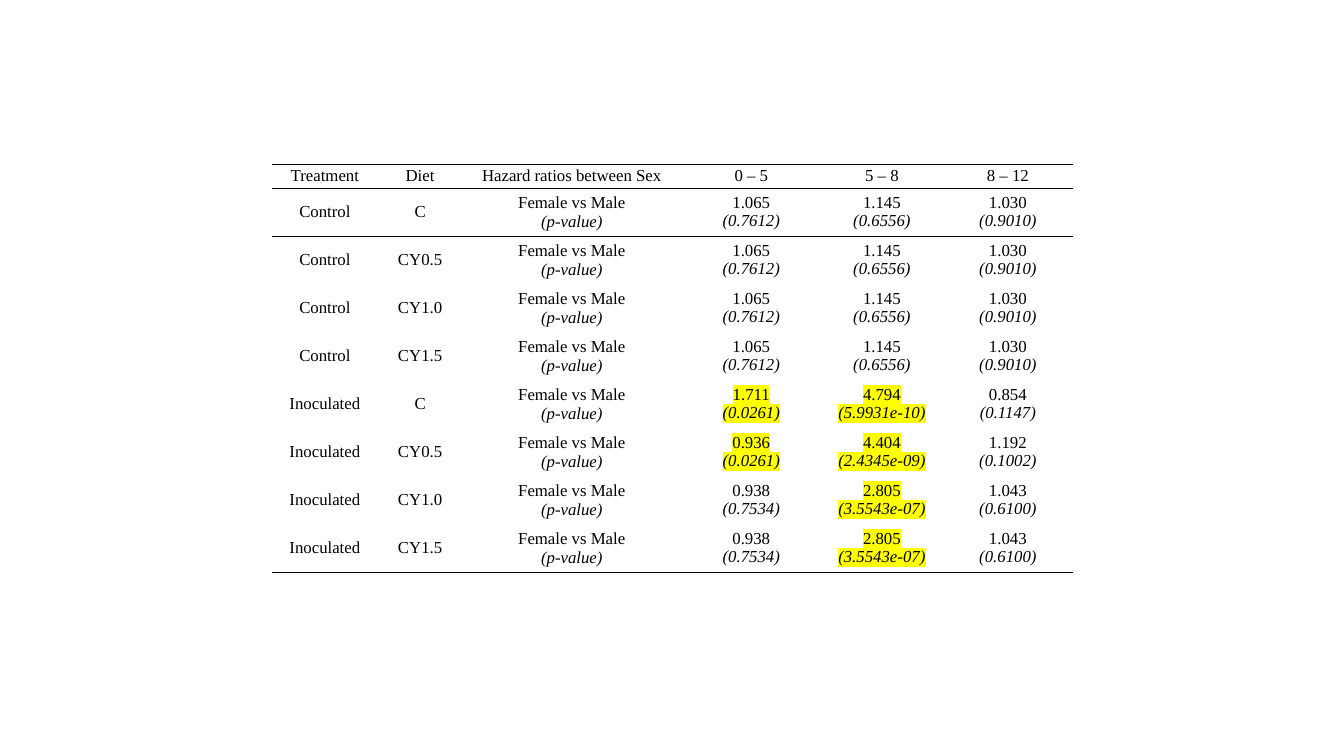
"""Builds a slide with a table of hazard ratios between sexes."""
from lxml import etree
from pptx import Presentation
from pptx.dml.color import RGBColor
from pptx.enum.text import MSO_ANCHOR, PP_ALIGN
from pptx.oxml.ns import qn
from pptx.util import Pt

MIDDLE, TOP = MSO_ANCHOR.MIDDLE, MSO_ANCHOR.TOP
CENTER = PP_ALIGN.CENTER
BLACK = RGBColor(0x00, 0x00, 0x00)
YELLOW = RGBColor(0xFF, 0xFF, 0x00)
PLAIN_TABLE = "{2D5ABB26-0587-4C30-8999-92F81FD0307C}"
SIGNIFICANCE = 0.05

LABEL_FORMAT = {
    "vertical_anchor": MIDDLE,
    "margin_left": Pt(3.6), "margin_right": Pt(3.6),
    "margin_top": Pt(1.6), "margin_bottom": Pt(1.6),
}
RATIO_FORMAT = {
    "vertical_anchor": TOP,
    "margin_left": Pt(7.2), "margin_right": Pt(7.2),
    "margin_top": Pt(3.6), "margin_bottom": Pt(3.6),
}

HEADINGS = ["Treatment", "Diet", "Hazard ratios between Sex", "0 – 5", "5 – 8", "8 – 12"]
COLUMN_WIDTHS = [76.2, 59.8, 157, 99.4, 87.2, 92.8]
HEADER_HEIGHT, ROW_HEIGHT = 17.2, 34.3
DIETS = ["C", "CY0.5", "CY1.0", "CY1.5"]
CONTROL = [("1.065", "0.7612"), ("1.145", "0.6556"), ("1.030", "0.9010")]
LATE_INOCULATED = [("0.938", "0.7534"), ("2.805", "3.5543e-07"), ("1.043", "0.6100")]
RESULTS = {
    "Control": [CONTROL] * len(DIETS),
    "Inoculated": [
        [("1.711", "0.0261"), ("4.794", "5.9931e-10"), ("0.854", "0.1147")],
        [("0.936", "0.0261"), ("4.404", "2.4345e-09"), ("1.192", "0.1002")],
        LATE_INOCULATED,
        LATE_INOCULATED,
    ],
}


class SlideWriter:
    """Holds the text style and the slide being filled."""

    def __init__(self, slide):
        self.slide = slide
        self.font_format = {"name": "Times New Roman", "size": Pt(12)}

    def table(self, left, top, widths, heights):
        """Add an unstyled table and return it."""
        table = self.slide.shapes.add_table(
            len(heights), len(widths), Pt(left), Pt(top),
            Pt(sum(widths)), Pt(sum(heights))).table
        for column, width in zip(table.columns, widths):
            column.width = Pt(width)
        for row, height in zip(table.rows, heights):
            row.height = Pt(height)
        table.first_row = table.horz_banding = False
        table._tbl.tblPr.find(qn("a:tableStyleId")).text = PLAIN_TABLE
        return table

    def cell(self, cell, lines, cell_format, highlighted=False):
        """Write a cell whose second line is italic."""
        for attribute, value in cell_format.items():
            setattr(cell, attribute, value)
        cell.fill.background()
        for index, line in enumerate(lines):
            frame = cell.text_frame
            paragraph = frame.add_paragraph() if index else frame.paragraphs[0]
            paragraph.alignment = CENTER
            run = paragraph.add_run()
            run.text = line
            for attribute, value in self.font_format.items():
                setattr(run.font, attribute, value)
            run.font.italic = index > 0
            run.font.color.rgb = BLACK
            if highlighted:
                self.highlight(run)

    def highlight(self, run):
        """Mark a run in yellow."""
        mark = etree.Element(qn("a:highlight"))
        etree.SubElement(mark, qn("a:srgbClr"), val=str(YELLOW))
        run.font._element.find(qn("a:solidFill")).addnext(mark)

    def rule(self, table, row, *sides):
        """Draw black lines on the given sides of a table row."""
        for cell in table.rows[row].cells:
            properties = cell._tc.get_or_add_tcPr()
            for position, side in enumerate(sides):
                border = etree.Element(qn(f"a:ln{side}"), w=str(Pt(1)))
                fill = etree.SubElement(border, qn("a:solidFill"))
                etree.SubElement(fill, qn("a:srgbClr"), val=str(BLACK))
                properties.insert(position, border)


def main():
    """Build and save the slide."""
    presentation = Presentation()
    presentation.slide_width, presentation.slide_height = Pt(960), Pt(540)
    writer = SlideWriter(presentation.slides.add_slide(presentation.slide_layouts[6]))

    records = [(treatment, diet, ratios)
               for treatment, by_diet in RESULTS.items()
               for diet, ratios in zip(DIETS, by_diet)]
    hazards = writer.table(194, 117.2, COLUMN_WIDTHS,
                           [HEADER_HEIGHT] + [ROW_HEIGHT] * len(records))
    for column, heading in enumerate(HEADINGS):
        writer.cell(hazards.cell(0, column), [heading], LABEL_FORMAT)
    for row, (treatment, diet, ratios) in enumerate(records, 1):
        labels = [[treatment], [diet], ["Female vs Male", "(p-value)"]]
        for column, lines in enumerate(labels):
            writer.cell(hazards.cell(row, column), lines, LABEL_FORMAT)
        for column, (ratio, p_value) in enumerate(ratios, len(labels)):
            writer.cell(hazards.cell(row, column), [ratio, f"({p_value})"],
                        RATIO_FORMAT, float(p_value) < SIGNIFICANCE)

    writer.rule(hazards, 0, "T", "B")
    writer.rule(hazards, 1, "T")
    writer.rule(hazards, len(records), "B")
    presentation.save("out.pptx")


if __name__ == "__main__":
    main()
